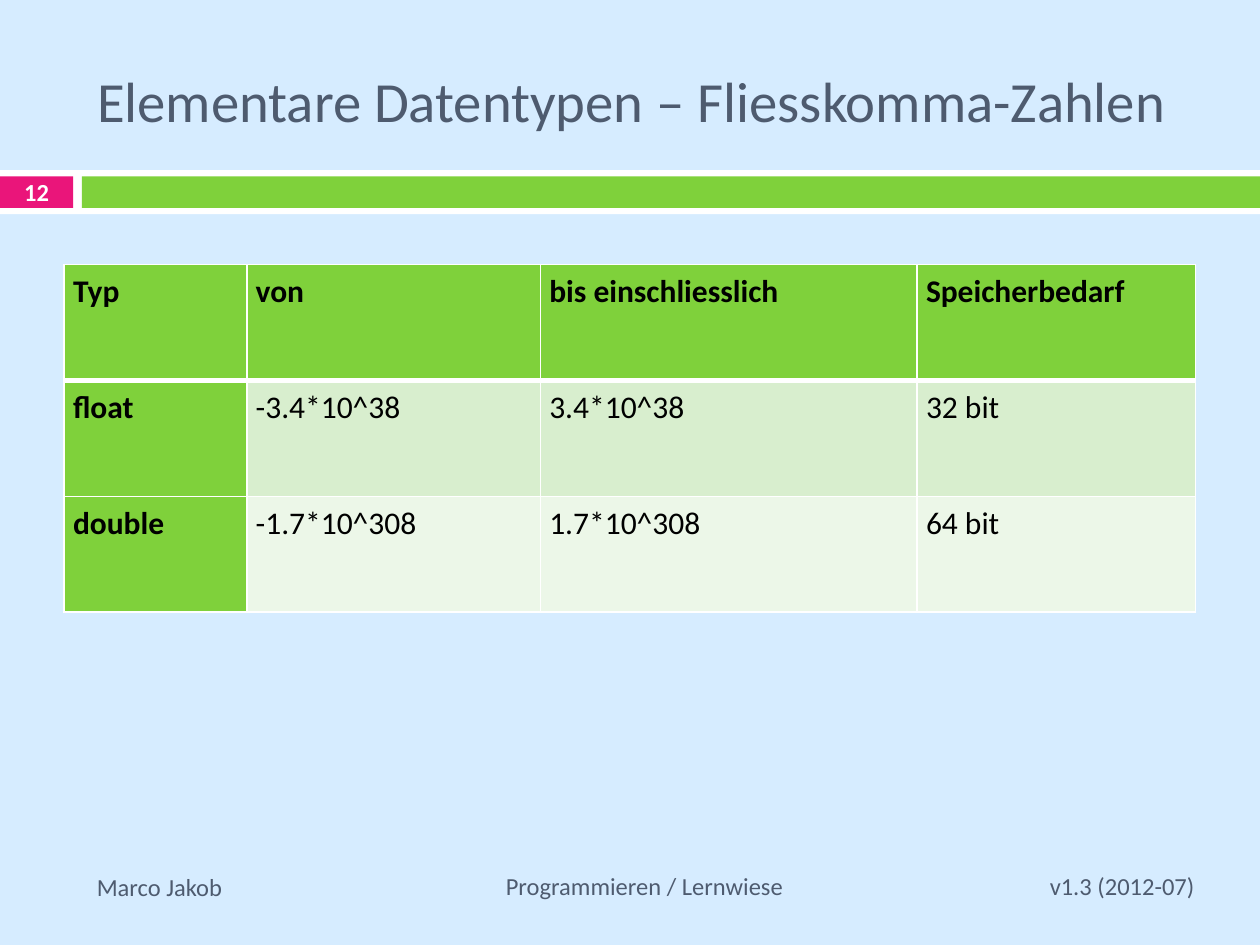
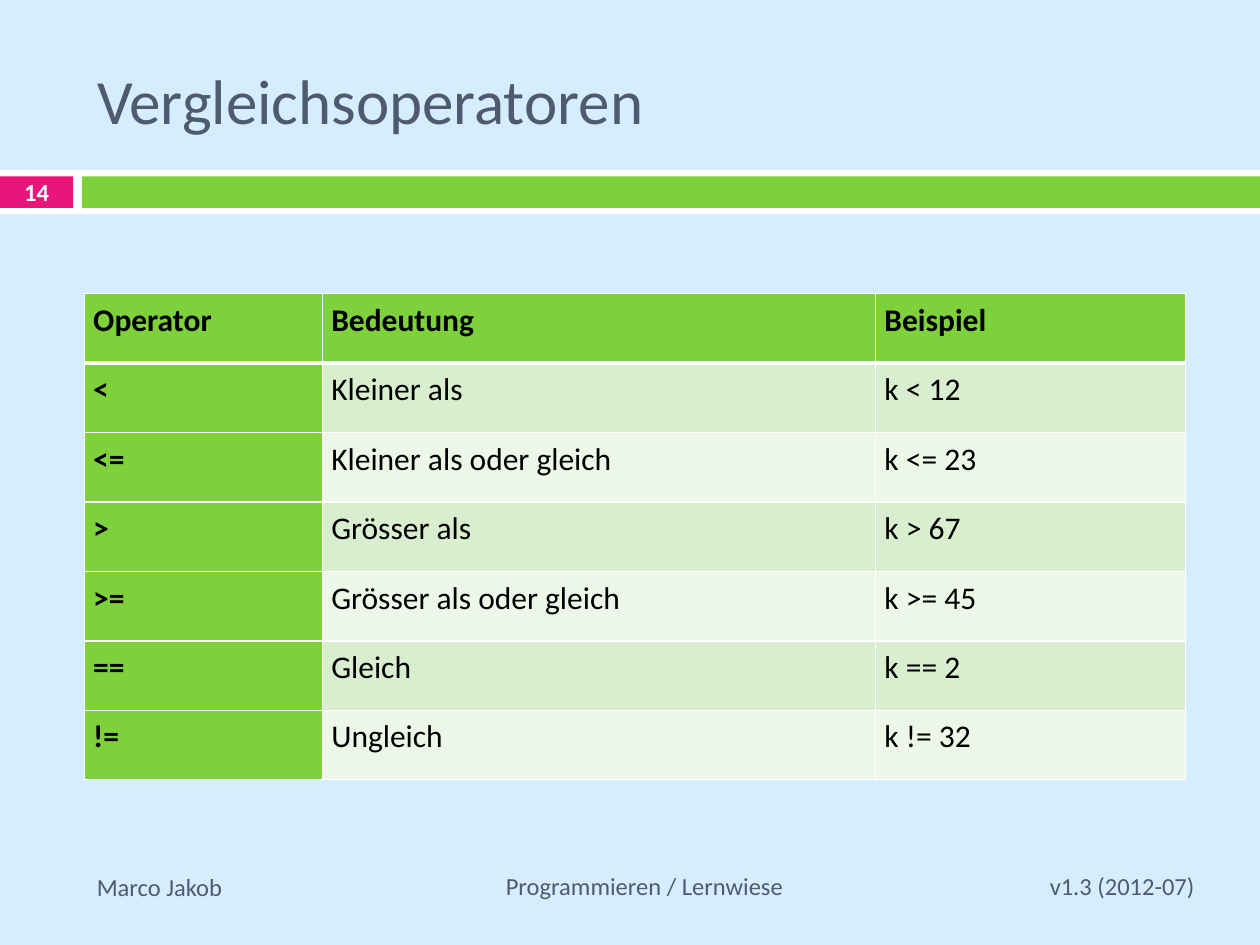
from lxml import etree
from pptx import Presentation
from pptx.dml.color import RGBColor
from pptx.enum.shapes import MSO_SHAPE
from pptx.enum.text import MSO_ANCHOR, MSO_AUTO_SIZE, PP_ALIGN
from pptx.oxml.ns import qn
from pptx.util import Inches, Pt

RECT = MSO_SHAPE.RECTANGLE
TOP, MIDDLE = MSO_ANCHOR.TOP, MSO_ANCHOR.MIDDLE
LEFT, CENTER, RIGHT = PP_ALIGN.LEFT, PP_ALIGN.CENTER, PP_ALIGN.RIGHT
NO_FIT = MSO_AUTO_SIZE.NONE

FONT = "Calibri"
COLORS = {
    "background": "D6ECFF",
    "white": "FFFFFF",
    "pink": "EA157A",
    "green": "7FD13B",
    "slate": "4E5B6F",
    "black": "000000",
    "row_dark": "D8EECE",
    "row_light": "ECF7E8",
}
TITLE_ONLY = 5

# Shared bands: left, top, width, height, colour
BANDS = [
    (0, 1.35, 10, 0.35, "white"),
    (0, 1.4, 0.58, 0.25, "pink"),
    (0.65, 1.4, 9.35, 0.25, "green"),
]
# Shared footers: box, text, alignment, anchor
FOOTERS = [
    ((0.67, 6.87, 1.57, 0.34), "Marco Jakob", LEFT, TOP),
    ((2.32, 6.83, 5.59, 0.4), "Programmieren / Lernwiese", CENTER, MIDDLE),
    ((8.01, 6.83, 1.57, 0.4), "v1.3 (2012-07)", RIGHT, MIDDLE),
]

FLOAT_ROWS = [
    ("Typ", "von", "bis einschliesslich", "Speicherbedarf"),
    ("float", "-3.4*10^38", "3.4*10^38", "32 bit"),
    ("double", "-1.7*10^308", "1.7*10^308", "64 bit"),
]
OPERATOR_ROWS = [
    ("Operator", "Bedeutung", "Beispiel"),
    ("<", "Kleiner als", "k < 12"),
    ("<=", "Kleiner als oder gleich", "k <= 23"),
    (">", "Grösser als", "k > 67"),
    (">=", "Grösser als oder gleich", "k >= 45"),
    ("==", "Gleich", "k == 2"),
    ("!=", "Ungleich", "k != 32"),
]


def rgb(name):
    return RGBColor.from_string(COLORS[name])


def set_text(tf, text, size, color, bold=False, align=LEFT):
    tf.text = text
    p = tf.paragraphs[0]
    p.alignment = align
    font = p.runs[0].font
    font.name, font.size, font.bold = FONT, Pt(size), bold
    font.color.rgb = rgb(color)
    return p


def add_text(slide, box, text, color="slate", bold=False, align=LEFT, anchor=MIDDLE):
    tf = slide.shapes.add_textbox(*map(Inches, box)).text_frame
    tf.word_wrap = True
    tf.vertical_anchor = anchor
    set_text(tf, text, 14, color, bold, align)


def add_band(slide, left, top, width, height, color):
    s = slide.shapes.add_shape(RECT, *map(Inches, (left, top, width, height)))
    s.shadow.inherit = False
    s.fill.solid()
    s.fill.fore_color.rgb = rgb(color)
    s.line.fill.background()


def set_title(slide, text, size):
    title = slide.shapes.title
    title.left, title.top, title.width, title.height = map(Inches, (0.67, 0.25, 8.92, 1.08))
    tf = title.text_frame
    tf.word_wrap = True
    tf.auto_size = NO_FIT
    tf.vertical_anchor = MIDDLE
    set_text(tf, text, size, "slate")


def add_base_slide(prs, title, title_size, number):
    slide = prs.slides.add_slide(prs.slide_layouts[TITLE_ONLY])
    for band in BANDS:
        add_band(slide, *band)
    set_title(slide, title, title_size)
    for box, text, align, anchor in FOOTERS:
        add_text(slide, box, text, align=align, anchor=anchor)
    add_text(slide, (0, 1.31, 0.58, 0.43), number, "white", True, CENTER)
    return slide


def set_borders(cell, top, bottom):
    """White cell borders; they must precede the fill in the cell properties."""
    tc_pr = cell._tc.get_or_add_tcPr()
    for tag, width in (("lnL", 1), ("lnR", 1), ("lnT", top), ("lnB", bottom)):
        ln = etree.SubElement(tc_pr, qn("a:" + tag), w=str(Pt(width)))
        fill = etree.SubElement(ln, qn("a:solidFill"))
        etree.SubElement(fill, qn("a:srgbClr"), val=COLORS["white"])


def format_cell(cell, text, row, col):
    is_head = row == 0 or col == 0
    set_borders(cell, top=3 if row == 1 else 1, bottom=3 if row == 0 else 1)
    cell.fill.solid()
    stripe = "row_dark" if row % 2 else "row_light"
    cell.fill.fore_color.rgb = rgb("green" if is_head else stripe)
    cell.margin_left = cell.margin_right = Inches(0.07)
    cell.margin_top = cell.margin_bottom = 0
    p = set_text(cell.text_frame, text, 18, "black", is_head)
    p.line_spacing = 1.2


def add_data_table(slide, left, top, col_widths, height, rows):
    table = slide.shapes.add_table(
        len(rows), len(col_widths),
        *map(Inches, (left, top, sum(col_widths), height))).table
    table.first_row = table.horz_banding = False
    for column, width in zip(table.columns, col_widths):
        column.width = Inches(width)
    for r, texts in enumerate(rows):
        for c, text in enumerate(texts):
            format_cell(table.cell(r, c), text, r, c)


def main():
    prs = Presentation()
    prs.slide_width, prs.slide_height = Inches(10), Inches(7.5)
    background = prs.slide_master.background.fill
    background.solid()
    background.fore_color.rgb = rgb("background")

    # Floating point types
    slide = add_base_slide(prs, "Elementare Datentypen – Fliesskomma-Zahlen", 32.4, "12")
    add_data_table(slide, 0.51, 2.1, (1.45, 2.33, 2.99, 2.21), 2.76, FLOAT_ROWS)

    # Comparison operators
    slide = add_base_slide(prs, "Vergleichsoperatoren", 36, "14")
    add_data_table(slide, 0.67, 2.33, (1.89, 4.39, 2.46), 3.86, OPERATOR_ROWS)

    prs.save("out.pptx")


if __name__ == "__main__":
    main()
